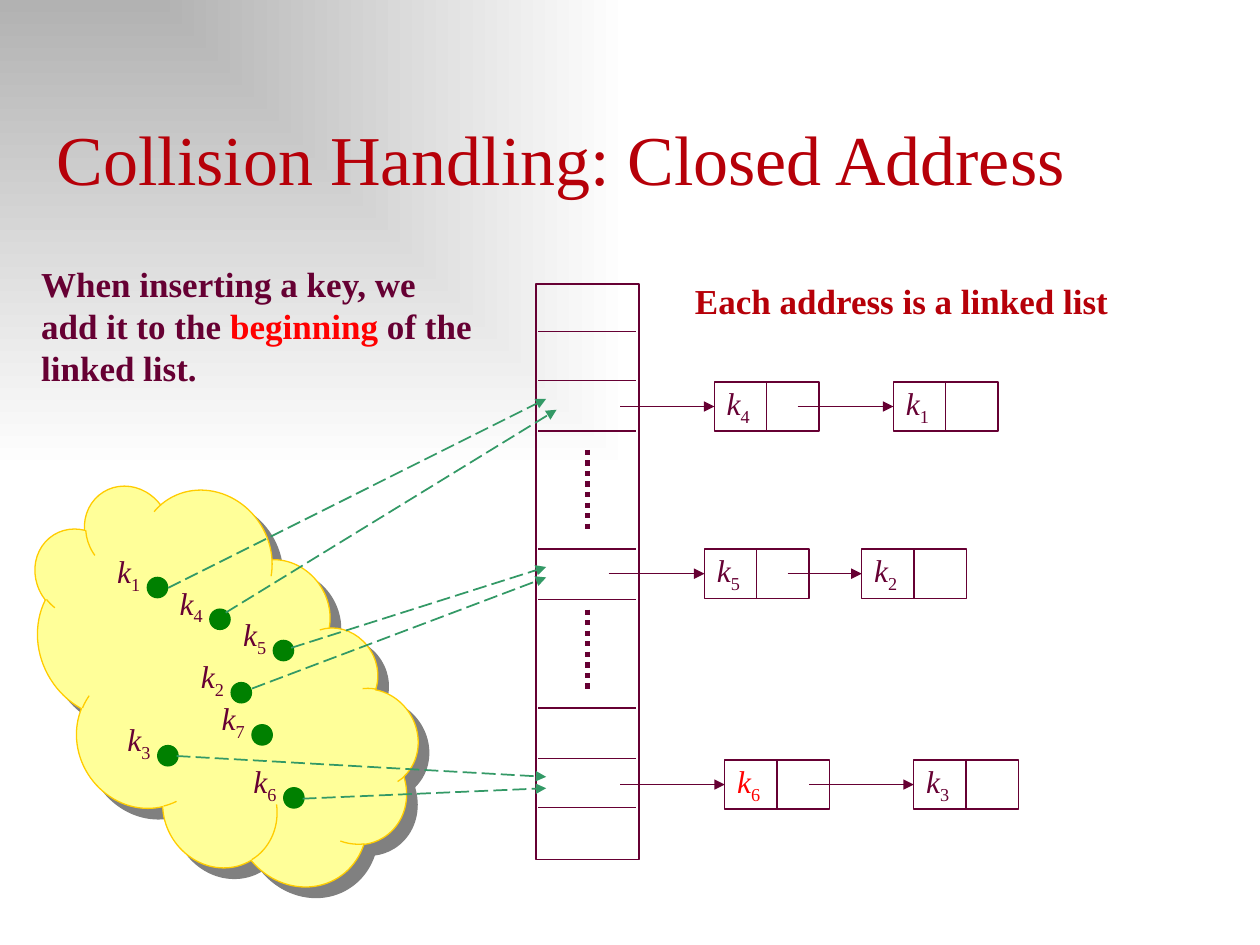
"""Build a slide on hash collision handling with closed addressing."""
from dataclasses import dataclass

from lxml import etree
from pptx import Presentation
from pptx.dml.color import RGBColor
from pptx.enum.dml import MSO_LINE
from pptx.enum.shapes import MSO_CONNECTOR, MSO_SHAPE
from pptx.enum.text import MSO_ANCHOR, PP_ALIGN
from pptx.oxml.ns import qn
from pptx.util import Cm, Pt

STRAIGHT = MSO_CONNECTOR.STRAIGHT
RECT, OVAL, CLOUD = MSO_SHAPE.RECTANGLE, MSO_SHAPE.OVAL, MSO_SHAPE.CLOUD
LONG_DASH, DOTS = MSO_LINE.LONG_DASH, MSO_LINE.ROUND_DOT
LEFT, BOTTOM = PP_ALIGN.LEFT, MSO_ANCHOR.BOTTOM


@dataclass(frozen=True)
class Theme:
    font: str = "Times New Roman"
    title_size: int = 40
    note_size: int = 20
    key_size: int = 18
    title: str = "B60009"
    ink: str = "660033"
    accent: str = "FF0000"
    dot: str = "008000"
    hash_arrow: str = "339966"
    cloud: str = "FFFF99"
    cloud_line: str = "FFCC00"
    shadow: str = "808080"
    bg_from: str = "B2B2B2"
    bg_to: str = "FFFFFF"


T = Theme()

TITLE = "Collision Handling: Closed Address"
NOTES = [
    ((13.76, 5.5, 9.32, 1.09), [("Each address is a linked list", T.title)]),
    ((0.58, 5.16, 9.32, 2.82), [("When inserting a key, we add it to the ", T.ink),
                               ("beginning", T.accent),
                               (" of the linked list.", T.ink)]),
]

TABLE = (10.8, 5.72, 2.08, 11.61)
SLOT_LINES = [6.68, 7.67, 8.69, 11.07, 12.09, 14.27, 15.29, 16.28]
ELLIPSES = [9.07, 12.29]
ELLIPSIS_H = 1.6

CELL_W, CELL_H = 2.11, 0.99
CHAINS = [
    (7.7, [("4", 14.4, 12.5, T.ink), ("1", 18.01, 16.08, T.ink)]),
    (11.07, [("5", 14.2, 12.27, T.ink), ("2", 17.37, 15.88, T.ink)]),
    (15.32, [("6", 14.61, 12.5, T.accent), ("3", 18.42, 16.31, T.ink)]),
]

DOT = 0.41
KEYS = [("1", 2.97, 11.64), ("5", 5.51, 12.91), ("2", 4.66, 13.76),
        ("4", 4.23, 12.28), ("3", 3.18, 15.03), ("7", 5.08, 14.61),
        ("6", 5.72, 15.88)]
HASHES = [
    (3.39, 11.85, 11.01, 8.04), (4.55, 12.35, 11.22, 8.26),
    (5.87, 13.06, 11.01, 11.43), (5.08, 13.88, 11.01, 11.64),
    (3.56, 15.24, 11.01, 15.66), (6.1, 16.1, 11.01, 15.89),
]


def rgb(color):
    return RGBColor.from_string(color)


def add_box(shapes, kind, box, line, fill=None, width=0.75):
    sp = shapes.add_shape(kind, *map(Cm, box))
    sp.shadow.inherit = False
    if fill:
        sp.fill.solid()
        sp.fill.fore_color.rgb = rgb(fill)
    else:
        sp.fill.background()
    sp.line.color.rgb = rgb(line)
    sp.line.width = Pt(width)
    return sp


def add_line(shapes, ends, color=T.ink, width=0.75, dash=None, arrow=False):
    cxn = shapes.add_connector(STRAIGHT, *map(Cm, ends))
    cxn.line.color.rgb = rgb(color)
    cxn.line.width = Pt(width)
    if dash:
        cxn.line.dash_style = dash
    sp_pr = cxn._element.spPr
    if arrow:
        etree.SubElement(sp_pr.find(qn("a:ln")), qn("a:tailEnd"), type="triangle")
    etree.SubElement(sp_pr, qn("a:effectLst"))
    return cxn


def add_run(p, text, size, color):
    r = p.add_run()
    r.text = text
    r.font.name, r.font.size = T.font, Pt(size)
    r.font.color.rgb = rgb(color)
    return r


def add_text(shapes, box):
    tf = shapes.add_textbox(*map(Cm, box)).text_frame
    tf.word_wrap = True
    return tf.paragraphs[0]


def add_key(shapes, box, index, color=T.ink):
    p = add_text(shapes, box)
    add_run(p, "k", T.key_size, color).font.italic = True
    sub = add_run(p, index, T.key_size, color)
    sub._r.get_or_add_rPr().set("baseline", "-25000")


def paint_background(s):
    fill = s.background.fill
    fill.gradient()
    for stop, color in zip(fill.gradient_stops, (T.bg_from, T.bg_to)):
        stop.color.rgb = rgb(color)
    lin = s._element.find(".//" + qn("a:lin"))
    corner = etree.Element(qn("a:path"), path="rect")
    etree.SubElement(corner, qn("a:fillToRect"), r="100000", b="100000")
    lin.getparent().replace(lin, corner)


def add_cloud(s):
    sp = add_box(s.shapes, CLOUD, (-0.2, 10.8, 9.09, 6.15), T.cloud_line, T.cloud)
    sp.rotation = 58.1
    effects = sp._element.spPr.find(qn("a:effectLst"))
    shadow = etree.SubElement(effects, qn("a:outerShdw"), dist=str(Pt(8.5)),
                              dir="2700000", algn="ctr", rotWithShape="0")
    etree.SubElement(shadow, qn("a:srgbClr"), val=T.shadow)


def add_title(s):
    sp = s.shapes.title
    sp.left, sp.top, sp.width, sp.height = map(Cm, (0.89, 2.18, 24, 1.96))
    tf = sp.text_frame
    tf.vertical_anchor = BOTTOM
    p = tf.paragraphs[0]
    p.alignment = LEFT
    add_run(p, TITLE, T.title_size, T.title)


def add_hash_table(s):
    shapes = s.shapes.add_group_shape().shapes
    add_box(shapes, RECT, TABLE, T.ink, width=1)
    left, _, width, _ = TABLE
    for y in SLOT_LINES:
        add_line(shapes, (left + 0.05, y, left + width - 0.05, y))
    mid = left + width / 2
    for y in ELLIPSES:
        add_line(shapes, (mid, y, mid, y + ELLIPSIS_H), width=3, dash=DOTS)


def add_chain(s, y, cells):
    for index, x, start, color in cells:
        shapes = s.shapes.add_group_shape().shapes
        cell = add_box(shapes, RECT, (x, y, CELL_W, CELL_H), T.ink)
        mid_x, mid_y = x + CELL_W / 2, y + CELL_H / 2
        add_line(shapes, (mid_x, y, mid_x, y + CELL_H))
        add_key(shapes, (x, y - 0.08, 1.27, 1.02), index, color)
        arrow = add_line(s.shapes, (start, mid_y, x, mid_y), arrow=True)
        arrow.end_connect(cell, 1)


def main():
    prs = Presentation()
    prs.slide_width, prs.slide_height = Cm(25.4), Cm(19.05)
    s = prs.slides.add_slide(prs.slide_layouts[5])
    paint_background(s)
    add_cloud(s)
    add_title(s)
    add_hash_table(s)
    for y, cells in CHAINS:
        add_chain(s, y, cells)
    for index, x, y in KEYS:
        shapes = s.shapes.add_group_shape().shapes
        add_box(shapes, OVAL, (x, y, DOT, DOT), T.dot, T.dot)
        add_key(shapes, (x - 0.86, y - 0.64, 1.7, 1.02), index)
    for ends in HASHES:
        add_line(s.shapes, ends, T.hash_arrow, 1, LONG_DASH, arrow=True)
    for box, runs in NOTES:
        p = add_text(s.shapes, box)
        for text, color in runs:
            add_run(p, text, T.note_size, color).font.bold = True
    prs.save("out.pptx")


if __name__ == "__main__":
    main()
